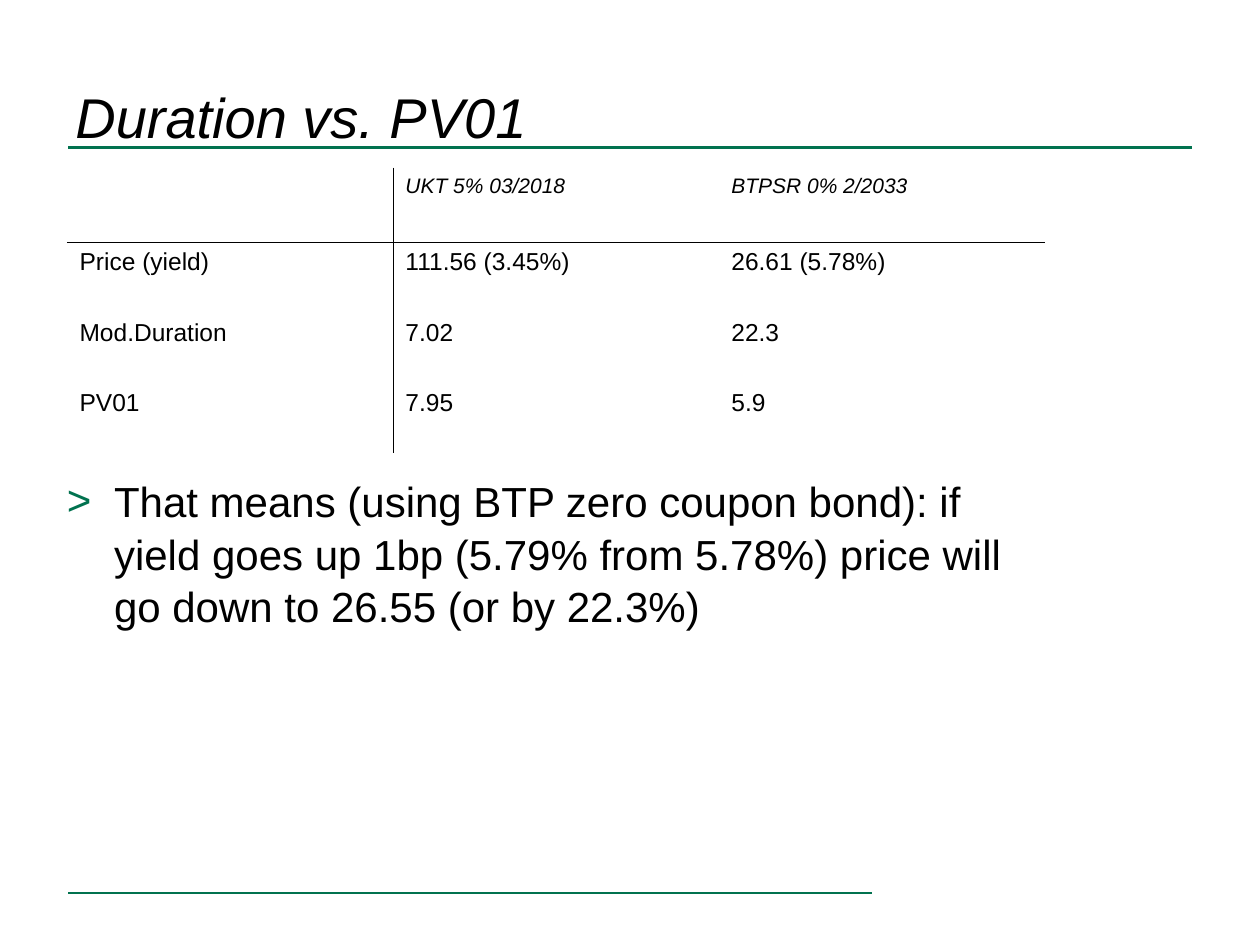
from lxml.etree import SubElement
from pptx import Presentation
from pptx.dml.color import RGBColor
from pptx.enum.shapes import MSO_CONNECTOR
from pptx.enum.text import MSO_ANCHOR
from pptx.oxml.ns import qn
from pptx.util import Cm, Pt

ROWS = [
    ["", "UKT 5% 03/2018", "BTPSR 0% 2/2033"],
    ["Price (yield)", "111.56 (3.45%)", "26.61 (5.78%)"],
    ["Mod.Duration", "7.02", "22.3"],
    ["PV01", "7.95", "5.9"],
]
MESSAGE = (
    "That means (using BTP zero coupon bond): if yield goes up 1bp "
    "(5.79% from 5.78%) price will go down to 26.55 (or by 22.3%)"
)


def colour(code):
    return RGBColor.from_string(code)


class SlideWriter:
    font_name = "Arial"
    ink = "000000"
    accent = "01724F"

    def __init__(self, page):
        self.page = page

    def style(self, para, size, italic=False):
        font = para.font
        font.name = self.font_name
        font.size = Pt(size)
        font.bold = False
        font.italic = italic
        font.color.rgb = colour(self.ink)

    def rule(self, left, right, top, weight):
        line = self.page.shapes.add_connector(
            MSO_CONNECTOR.STRAIGHT, Cm(left), Cm(top), Cm(right), Cm(top)
        )
        line.line.color.rgb = colour(self.accent)
        line.line.width = Pt(weight)
        SubElement(line._element.spPr, qn("a:effectLst"))

    def text(self, words, left, top, width, height, inset=0):
        box = self.page.shapes.add_textbox(Cm(left), Cm(top), Cm(width), Cm(height))
        frame = box.text_frame
        frame.word_wrap = True
        frame.margin_left = Cm(inset)
        frame.margin_right = frame.margin_top = frame.margin_bottom = 0
        frame.text = words
        return frame

    def title(self, words, left, top, width, height, inset):
        frame = self.text(words, left, top, width, height, inset)
        frame.vertical_anchor = MSO_ANCHOR.MIDDLE
        self.style(frame.paragraphs[0], 32, italic=True)

    def bullet(self, words, left, top, width, height, indent):
        para = self.text(words, left, top, width, height).paragraphs[0]
        para.line_spacing = 1.04
        properties = para._p.get_or_add_pPr()
        properties.set("marL", str(Cm(indent)))
        properties.set("indent", str(-Cm(indent)))
        tint = SubElement(properties, qn("a:buClr"))
        SubElement(tint, qn("a:srgbClr"), val=self.accent)
        SubElement(properties, qn("a:buFont"), typeface=self.font_name)
        SubElement(properties, qn("a:buChar"), char=">")
        self.style(para, 24)

    def borders(self, cell, shown):
        properties = cell._tc.get_or_add_tcPr()
        for position, side in enumerate("LRTB"):
            edge = SubElement(properties, qn(f"a:ln{side}"), w=str(Pt(0.45)))
            if side in shown:
                fill = SubElement(edge, qn("a:solidFill"))
                SubElement(fill, qn("a:srgbClr"), val=self.ink)
            else:
                SubElement(edge, qn("a:noFill"))
            properties.insert(position, edge)

    def table(self, rows, left, top, column_width, heights):
        grid = self.page.shapes.add_table(
            len(rows), len(rows[0]), Cm(left), Cm(top),
            Cm(column_width * len(rows[0])), Cm(sum(heights)),
        ).table
        grid.first_row = False
        grid.horz_banding = False
        for column in grid.columns:
            column.width = Cm(column_width)
        for r, values in enumerate(rows):
            grid.rows[r].height = Cm(heights[r])
            for c, value in enumerate(values):
                cell = grid.cell(r, c)
                cell.text = value
                cell.fill.background()
                self.style(cell.text_frame.paragraphs[0], 14 if r else 12, italic=r == 0)
                across = {0: "R", 1: "L"}.get(c, "")
                down = {0: "B", 1: "T"}.get(r, "")
                self.borders(cell, across + down)


def main():
    deck = Presentation()
    deck.slide_width = Cm(25.4)
    deck.slide_height = Cm(19.05)
    writer = SlideWriter(deck.slides.add_slide(deck.slide_layouts[6]))
    writer.rule(1.38, 17.58, 18, 0.75)
    writer.rule(1.38, 24.03, 2.97, 1.5)
    writer.title("Duration vs. PV01", -0.28, 1.32, 22.99, 2.06, inset=1.8)
    writer.table(ROWS, 1.35, 3.38, 6.57, [1.5] + [1.42] * 3)
    writer.bullet(MESSAGE, 1.35, 9.55, 19.71, 5.77, indent=0.95)
    deck.save("out.pptx")


if __name__ == "__main__":
    main()
